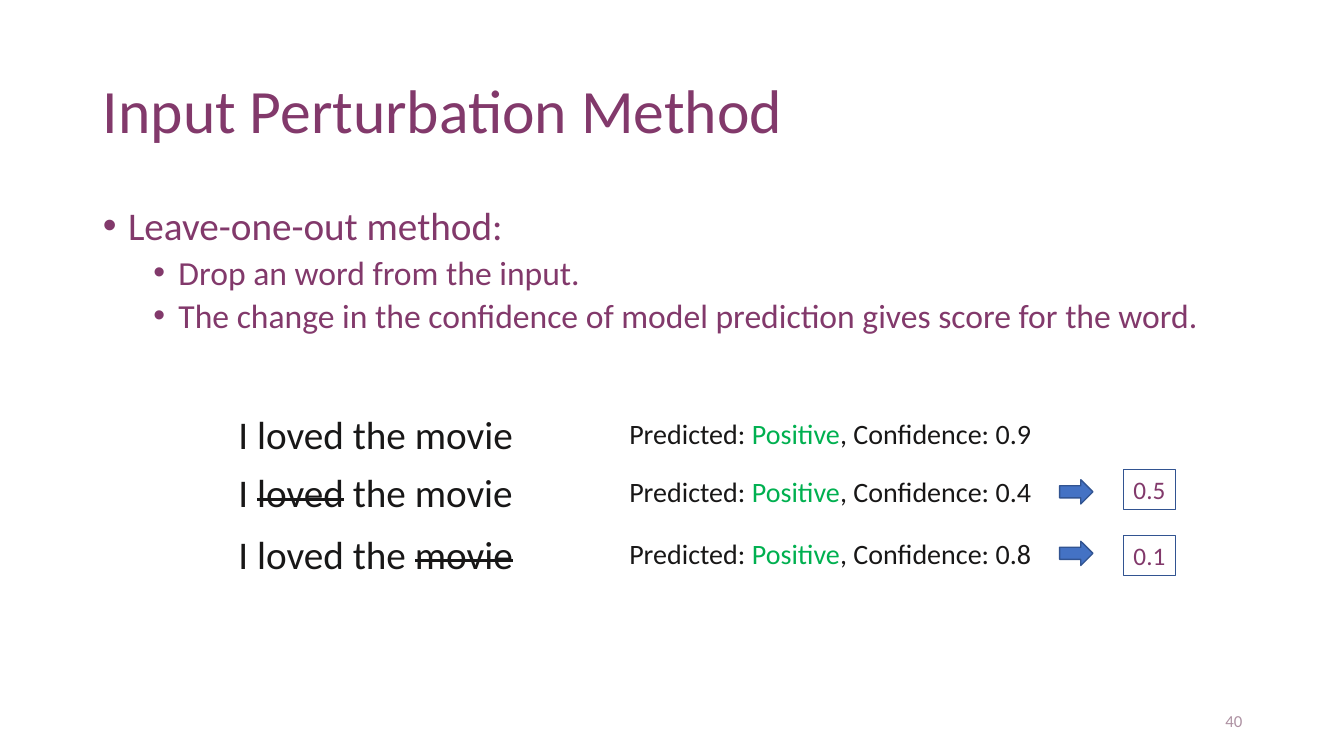
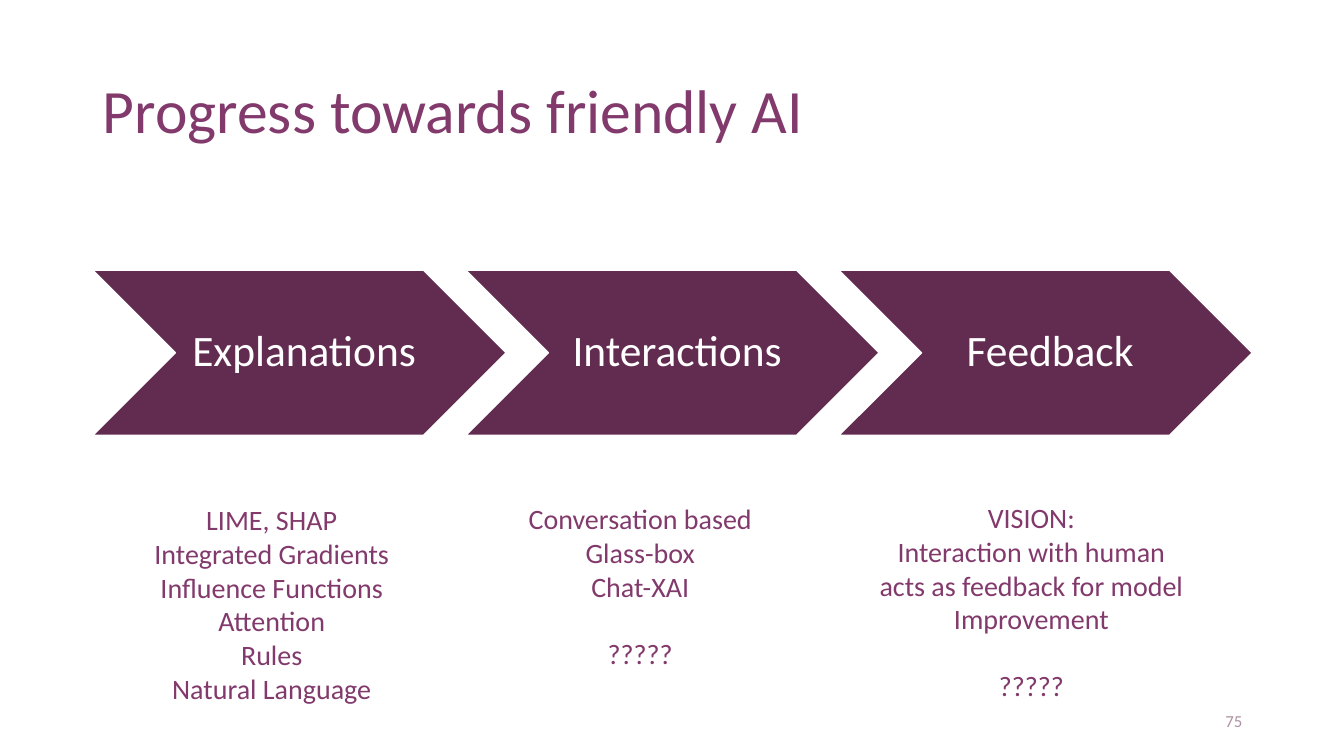
from lxml.etree import SubElement
from pptx import Presentation
from pptx.dml.color import RGBColor
from pptx.enum.shapes import MSO_SHAPE as SHAPE
from pptx.enum.text import MSO_ANCHOR as ANCHOR, MSO_AUTO_SIZE as AUTO, PP_ALIGN as ALIGN
from pptx.oxml.ns import qn
from pptx.util import Pt

PX = 9144
FONT = "Calibri"
PLUM, DARK_PLUM, PALE_PLUM = "82396B", "622B50", "AD91A2"
INK, GREEN, BLUE, DARK_BLUE, WHITE = "181717", "00B050", "4472C4", "325491", "FFFFFF"
rgb = RGBColor.from_string


def style(frame, size, color, align=ALIGN.CENTER):
    for paragraph in frame.paragraphs:
        paragraph.alignment = align
        for run in paragraph.runs:
            run.font.name = FONT
            run.font.size = Pt(size)
            run.font.color.rgb = rgb(color)


def draw(slide, preset, place, fill, line, width):
    shape = slide.shapes.add_shape(preset, *(n * PX for n in place))
    shape.shadow.inherit = False
    if fill:
        shape.fill.solid()
        shape.fill.fore_color.rgb = rgb(fill)
    else:
        shape.fill.background()
    shape.line.color.rgb = rgb(line)
    shape.line.width = Pt(width)
    return shape


deck = Presentation()
deck.slide_width, deck.slide_height = 1333 * PX, 750 * PX

slides = []
for layout, heading, number in (
    (1, "Input Perturbation Method", "40"),
    (5, "Progress towards friendly AI", "75"),
):
    slide = deck.slides.add_slide(deck.slide_layouts[layout])
    title = slide.shapes.title
    title.left, title.top, title.width, title.height = (n * PX for n in (92, 40, 1150, 145))
    title.text_frame.text = heading
    title.text_frame.auto_size = AUTO.NONE
    title.text_frame.vertical_anchor = ANCHOR.MIDDLE
    title.text_frame.paragraphs[0].line_spacing = 0.9
    style(title.text_frame, 44, PLUM, ALIGN.LEFT)

    page = slide.shapes.add_textbox(*(n * PX for n in (942, 695, 300, 40))).text_frame
    page.text = number
    page.word_wrap = True
    page.vertical_anchor = ANCHOR.MIDDLE
    style(page, 12, PALE_PLUM, ALIGN.RIGHT)
    slides.append(slide)

perturbation, progress = slides

body = perturbation.placeholders[1]
body.left, body.top, body.width, body.height = (n * PX for n in (92, 200, 1150, 476))
method = body.text_frame
method.auto_size = AUTO.NONE
method.text = "\n".join((
    "Leave-one-out method:",
    "Drop an word from the input.",
    "The change in the confidence of model prediction gives score for the word.",
))
style(method, 24, PLUM, ALIGN.LEFT)
method.paragraphs[0].runs[0].font.size = Pt(28)
for index, point in enumerate(method.paragraphs):
    point.level = min(index, 1)
    properties = point._p.get_or_add_pPr()
    properties.set("marL", str((25 + 50 * point.level) * PX))
    properties.set("indent", str(-25 * PX))
    SubElement(properties, qn("a:buChar")).set("char", "•")
    point.line_spacing = 0.9
    point.space_before = Pt(5 * point.level)

for top, sentence, confidence, score, score_top in (
    (402, ("I loved the movie",), "0.9", None, None),
    (460, ("I ", "loved", " the movie"), "0.4", "0.5", 466),
    (521, ("I loved the ", "movie"), "0.8", "0.1", 531),
):
    prediction = ("Predicted: ", "Positive", f", Confidence: {confidence}")
    for parts, place, size in (
        (sentence, (225, top, 295, 57), 28),
        (prediction, (612, top + 6, 423, 44), 20),
    ):
        frame = perturbation.shapes.add_textbox(*(n * PX for n in place)).text_frame
        frame.word_wrap = False
        for part in parts:
            frame.paragraphs[0].add_run().text = part
        style(frame, size, INK)
        for marked in frame.paragraphs[0].runs[1:2]:
            if parts is sentence:
                marked._r.get_or_add_rPr().set("strike", "sngStrike")
            else:
                marked.font.color.rgb = rgb(GREEN)
    if score:
        draw(perturbation, SHAPE.RIGHT_ARROW, (1051, top + 16, 33, 24), BLUE, DARK_BLUE, 1)
        drop = draw(perturbation, SHAPE.RECTANGLE, (1114, score_top, 52, 40), None, DARK_BLUE, 0.75)
        drop.text_frame.text = score
        drop.text_frame.word_wrap = False
        style(drop.text_frame, 18, PLUM)

for index, (stage, examples, place, question) in enumerate((
    ("Explanations",
     ("LIME, SHAP", "Integrated Gradients", "Influence Functions", "Attention", "Rules", "Natural Language"),
     (142, 494, 255, 212), False),
    ("Interactions",
     ("Conversation based", "Glass-box", "Chat-XAI", "?????"),
     (513, 493, 244, 178), True),
    ("Feedback",
     ("VISION:", "Interaction with human", "acts as feedback for model", "Improvement", "?????"),
     (861, 492, 324, 212), True),
)):
    chevron = draw(progress, SHAPE.CHEVRON, (92 + 370 * index, 268, 410, 164), DARK_PLUM, WHITE, 1)
    label = chevron.text_frame
    label.text = stage
    label.word_wrap = True
    label.vertical_anchor = ANCHOR.MIDDLE
    label.margin_left = 14 * PX
    label.margin_top = label.margin_right = label.margin_bottom = 5 * PX
    label.paragraphs[0].line_spacing = 0.9
    style(label, 31, WHITE)

    listing = progress.shapes.add_textbox(*(n * PX for n in place)).text_frame
    listing.text = "\n".join(examples)
    listing.word_wrap = False
    style(listing, 20, PLUM)
    if question:
        listing.paragraphs[-1].space_before = Pt(24)

deck.save("out.pptx")
